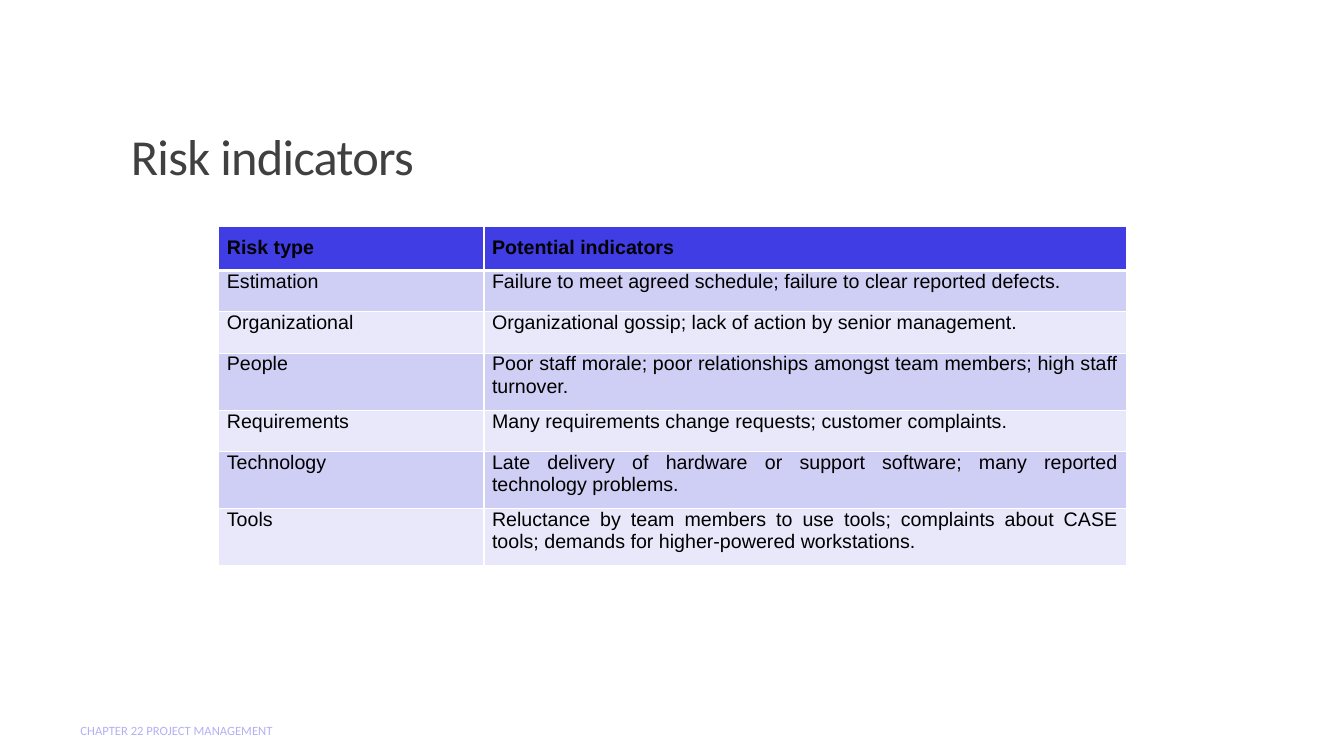
from pptx import Presentation
from pptx.dml.color import RGBColor as RGB
from pptx.enum.text import MSO_ANCHOR as Anchor, PP_ALIGN as Align
from pptx.oxml import parse_xml
from pptx.oxml.ns import nsdecls
from pptx.util import Inches, Pt

COLORS = {
    "title": "404040",
    "foot": "B2B1F4",
    "text": "000000",
    "head": "3F3DE3",
    "odd": "CFCEF4",
    "even": "E8E8FA",
    "line": "FFFFFF",
}

RISKS = [
    ("Risk type", "Potential indicators"),
    ("Estimation", "Failure to meet agreed schedule; failure to clear reported defects."),
    ("Organizational", "Organizational gossip; lack of action by senior management."),
    ("People", "Poor staff morale; poor relationships amongst team members; "
               "high staff turnover."),
    ("Requirements", "Many requirements change requests; customer complaints."),
    ("Technology", "Late delivery of hardware or support software; "
                   "many reported technology problems."),
    ("Tools", "Reluctance by team members to use tools; complaints about CASE tools; "
              "demands for higher-powered workstations."),
]


def write(frame, text, size, color, font="Calibri", bold=False,
          align=Align.LEFT, lead=None, track=None):
    frame.word_wrap = True
    para = frame.paragraphs[0]
    para.alignment = align
    if lead:
        para.line_spacing = lead
    run = para.add_run()
    run.text = text
    run.font.name = font
    run.font.size = Pt(size)
    run.font.bold = bold
    run.font.color.rgb = RGB.from_string(COLORS[color])
    if track:
        run.font._element.set("spc", str(int(track * 100)))


def add_label(slide, box, text, anchor, **form):
    frame = slide.shapes.add_textbox(*map(Inches, box)).text_frame
    frame.vertical_anchor = anchor
    write(frame, text, **form)


def add_edges(cell, base):
    """Outline a cell; base is the width of its bottom line in points."""
    props = cell._tc.get_or_add_tcPr()
    for place, (side, width) in enumerate(zip("LRTB", (1, 1, 1, base))):
        props.insert(place, parse_xml(
            f'<a:ln{side} {nsdecls("a")} w="{Pt(width)}"><a:solidFill>'
            f'<a:srgbClr val="{COLORS["line"]}"/></a:solidFill></a:ln{side}>'))


def add_grid(slide, box, rows, widths, height):
    shape = slide.shapes.add_table(len(rows), len(widths), *map(Inches, box))
    table = shape.table
    for col, width in zip(table.columns, widths):
        col.width = Inches(width)
    for i, texts in enumerate(rows):
        table.rows[i].height = Inches(height)
        head = i == 0
        fill = "head" if head else "odd" if i % 2 else "even"
        for j, text in enumerate(texts):
            cell = table.cell(i, j)
            cell.margin_left = cell.margin_right = Inches(0.08)
            cell.margin_top = Inches(0.1 if head else 0)
            cell.margin_bottom = Inches(0.1)
            cell.fill.solid()
            cell.fill.fore_color.rgb = RGB.from_string(COLORS[fill])
            add_edges(cell, 3 if head else 1)
            write(cell.text_frame, text, size=14, color="text", font="Arial",
                  bold=head, align=Align.JUSTIFY)


def main():
    deck = Presentation()
    deck.slide_width, deck.slide_height = Inches(13.33), Inches(7.5)
    slide = deck.slides.add_slide(deck.slide_layouts[6])

    # Title
    add_label(slide, (1.2, 0.31, 11, 1.59), "Risk indicators", Anchor.BOTTOM,
              size=36, color="title", lead=0.9, track=-0.5)
    # Risk table
    add_grid(slide, (2.17, 2.25, 9, 2.87), RISKS, (2.63, 6.37), 0.41)
    # Footer
    add_label(slide, (0.7, 7.05, 7.46, 0.4), "CHAPTER 22 PROJECT MANAGEMENT",
              Anchor.MIDDLE, size=9, color="foot")

    deck.save("out.pptx")


if __name__ == "__main__":
    main()
